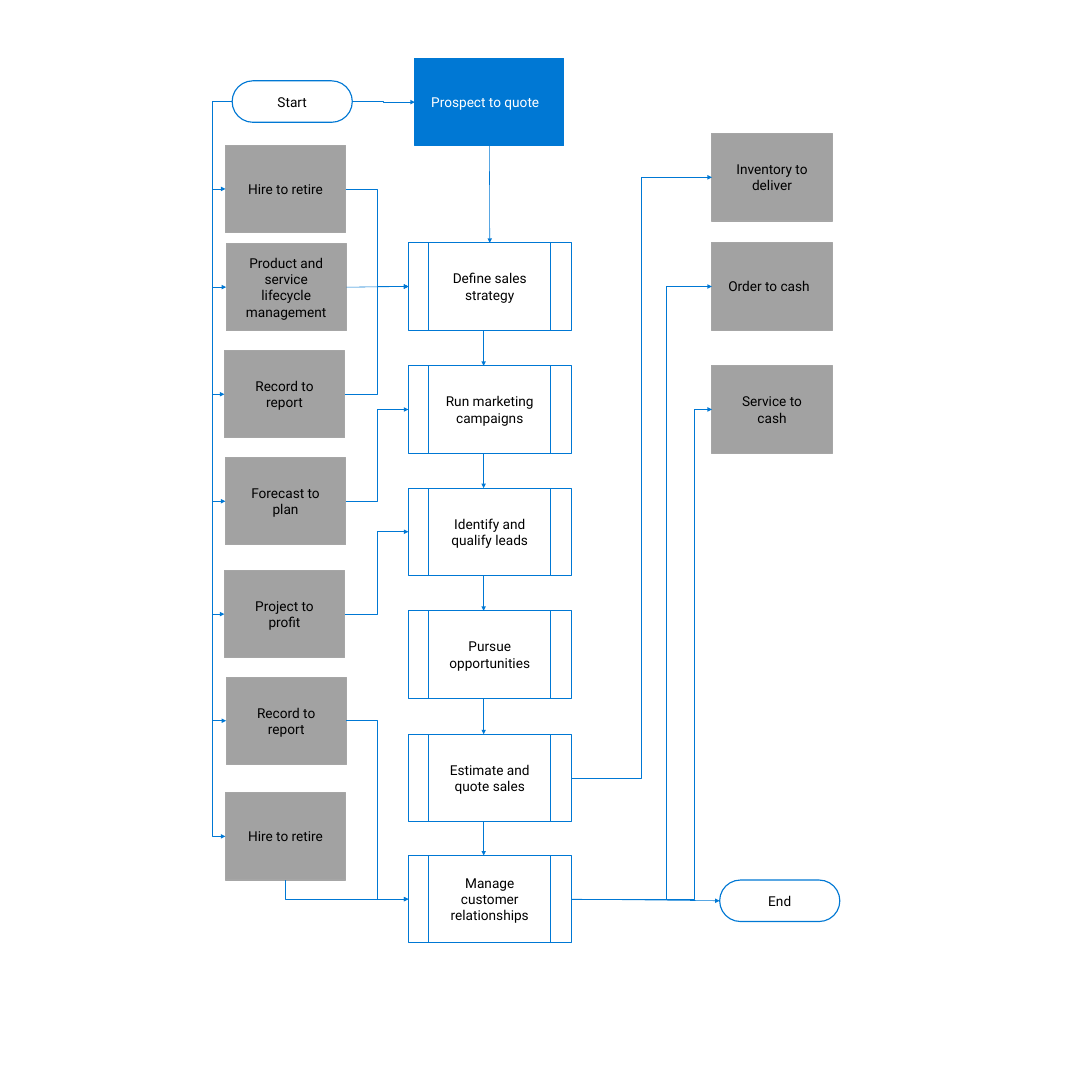
from lxml import etree
from pptx import Presentation
from pptx.dml.color import RGBColor
from pptx.enum.shapes import MSO_CONNECTOR, MSO_SHAPE
from pptx.enum.text import MSO_ANCHOR, PP_ALIGN
from pptx.oxml.ns import qn
from pptx.util import Cm, Pt

RECT = MSO_SHAPE.RECTANGLE
PILL = MSO_SHAPE.ROUNDED_RECTANGLE
PROCESS = MSO_SHAPE.FLOWCHART_PREDEFINED_PROCESS
STRAIGHT, ELBOW = MSO_CONNECTOR.STRAIGHT, MSO_CONNECTOR.ELBOW
LEFT, CENTER = PP_ALIGN.LEFT, PP_ALIGN.CENTER
MIDDLE = MSO_ANCHOR.MIDDLE
TOP_SIDE, LEFT_SIDE, BOTTOM_SIDE, RIGHT_SIDE = range(4)

COLORS = {
    "blue": "0078D4",
    "gray": "A2A2A2",
    "gray_line": "A6A6A6",
    "white": "FFFFFF",
    "black": "000000",
}

BOX_HEIGHT, HALF = 4.06, 2.03
GRAY_WIDTH = 5.59
PROCESS_LEFT, PROCESS_WIDTH = 19.0, 7.57
PROCESS_RIGHT = PROCESS_LEFT + PROCESS_WIDTH
STEP_ARROW_X = 22.5
OUTPUT_LEFT = 33.12
START_LEFT, START_MIDDLE = 10.8, 4.72
RAIL_X = 9.88

deck = Presentation()
deck.slide_width = deck.slide_height = Cm(50.8)
page = deck.slides.add_slide(deck.slide_layouts[6])


def add_box(text, left, top, width=GRAY_WIDTH, height=BOX_HEIGHT, kind=RECT,
            fill="gray", line="gray_line", color="black", align=CENTER):
    box = page.shapes.add_shape(kind, Cm(left), Cm(top), Cm(width), Cm(height))
    box.shadow.inherit = False
    if kind == PILL:
        box.adjustments[0] = 0.5
    if fill:
        box.fill.solid()
        box.fill.fore_color.rgb = RGBColor.from_string(COLORS[fill])
    else:
        box.fill.background()
    box.line.color.rgb = RGBColor.from_string(COLORS[line])
    box.line.width = Pt(1.5)
    frame = box.text_frame
    frame.word_wrap = True
    frame.vertical_anchor = MIDDLE
    frame.margin_left = frame.margin_right = Cm(0.76)
    frame.margin_top = frame.margin_bottom = Cm(0.61)
    para = frame.paragraphs[0]
    para.alignment = align
    span = para.add_run()
    span.text = text
    span.font.name = "Roboto"
    span.font.size = Pt(18)
    span.font.color.rgb = RGBColor.from_string(COLORS[color])
    return box


def add_arrow(start, end, kind=STRAIGHT, turn_x=None, corner=False):
    """Draw an arrow; turn_x places an elbow, corner bends once, back from the arrowhead."""
    if corner:
        start, end = end, start
    arrow = page.shapes.add_connector(kind, *[Cm(n) for n in (*start, *end)])
    arrow.line.color.rgb = RGBColor.from_string(COLORS["blue"])
    arrow.line.width = Pt(0.75)
    properties = arrow._element.spPr
    geometry = properties.find(qn("a:prstGeom"))
    if corner:
        geometry.set("prst", "bentConnector2")
    elif turn_x is not None:
        ratio = (turn_x - start[0]) / (end[0] - start[0])
        guides = geometry.get_or_add_avLst()
        etree.SubElement(guides, qn("a:gd"), name="adj1", fmla=f"val {round(ratio * 100000)}")
    arrowhead = qn("a:headEnd") if corner else qn("a:tailEnd")
    etree.SubElement(properties.find(qn("a:ln")), arrowhead, type="triangle")
    etree.SubElement(properties, qn("a:effectLst"))
    return arrow


# Start, end and title
add_box("Start", START_LEFT, 3.76, height=1.93, kind=PILL, fill=None, line="blue")
end_pill = add_box("End", 33.48, 40.94, height=1.93, kind=PILL, fill=None, line="blue")
title = add_box("Prospect to quote", 19.3, 2.72, width=6.93, fill="blue", line="blue",
                color="white", align=LEFT)
add_arrow((START_LEFT + GRAY_WIDTH, START_MIDDLE), (19.3, 4.75), ELBOW)

# Process steps
steps = [
    ("Define sales strategy", 11.3),
    ("Run marketing campaigns", 17.02),
    ("Identify and qualify leads", 22.71),
    ("Pursue opportunities", 28.42),
    ("Estimate and quote sales", 34.16),
    ("Manage customer relationships", 39.8),
]
step_boxes = [
    add_box(text, PROCESS_LEFT, top, width=PROCESS_WIDTH, kind=PROCESS, fill="white", line="blue")
    for text, top in steps
]
step_middles = [top + HALF for text, top in steps]
define, campaigns, leads, pursue, estimate, manage = step_middles
for (text, top), (next_text, next_top) in zip(steps, steps[1:]):
    add_arrow((STEP_ARROW_X, top + BOX_HEIGHT), (STEP_ARROW_X, next_top))

# Inputs: text, left, top, middle of the step reached by an elbow
inputs = [
    ("Hire to retire", 10.49, 6.76, define),
    ("Product and service lifecycle management", 10.52, 11.33, None),
    ("Record to report", 10.44, 16.31, define),
    ("Forecast to plan", 10.49, 21.29, campaigns),
    ("Project to profit", 10.44, 26.54, leads),
    ("Record to report", 10.52, 31.5, manage),
    ("Hire to retire", 10.49, 36.88, None),
]
input_boxes = []
for text, left, top, target in inputs:
    input_boxes.append(add_box(text, left, top))
    middle = top + HALF
    add_arrow((START_LEFT, START_MIDDLE), (left, middle), ELBOW, turn_x=RAIL_X)
    if target:
        add_arrow((left + GRAY_WIDTH, middle), (PROCESS_LEFT, target), ELBOW, turn_x=17.54)
add_arrow((13.29, 36.88 + BOX_HEIGHT), (PROCESS_LEFT, manage), ELBOW, corner=True)

# Outputs
for text, top, align in [
    ("Inventory to deliver", 6.22, CENTER),
    ("Order to cash", 11.3, LEFT),
    ("Service to cash", 17.02, CENTER),
]:
    add_box(text, OUTPUT_LEFT, top, align=align)
add_arrow((PROCESS_RIGHT, estimate), (OUTPUT_LEFT, 6.22 + HALF), ELBOW, turn_x=29.85)
add_arrow((30.99, manage), (OUTPUT_LEFT, define), ELBOW, corner=True)
add_arrow((PROCESS_RIGHT, manage), (OUTPUT_LEFT, campaigns), ELBOW, turn_x=32.31)

# Straight arrows joined to the boxes
for source, source_side, target, target_side in [
    (title, BOTTOM_SIDE, step_boxes[0], TOP_SIDE),
    (input_boxes[1], RIGHT_SIDE, step_boxes[0], LEFT_SIDE),
    (step_boxes[-1], RIGHT_SIDE, end_pill, LEFT_SIDE),
]:
    arrow = add_arrow((0, 0), (1, 1))
    arrow.begin_connect(source, source_side)
    arrow.end_connect(target, target_side)

deck.save("out.pptx")
